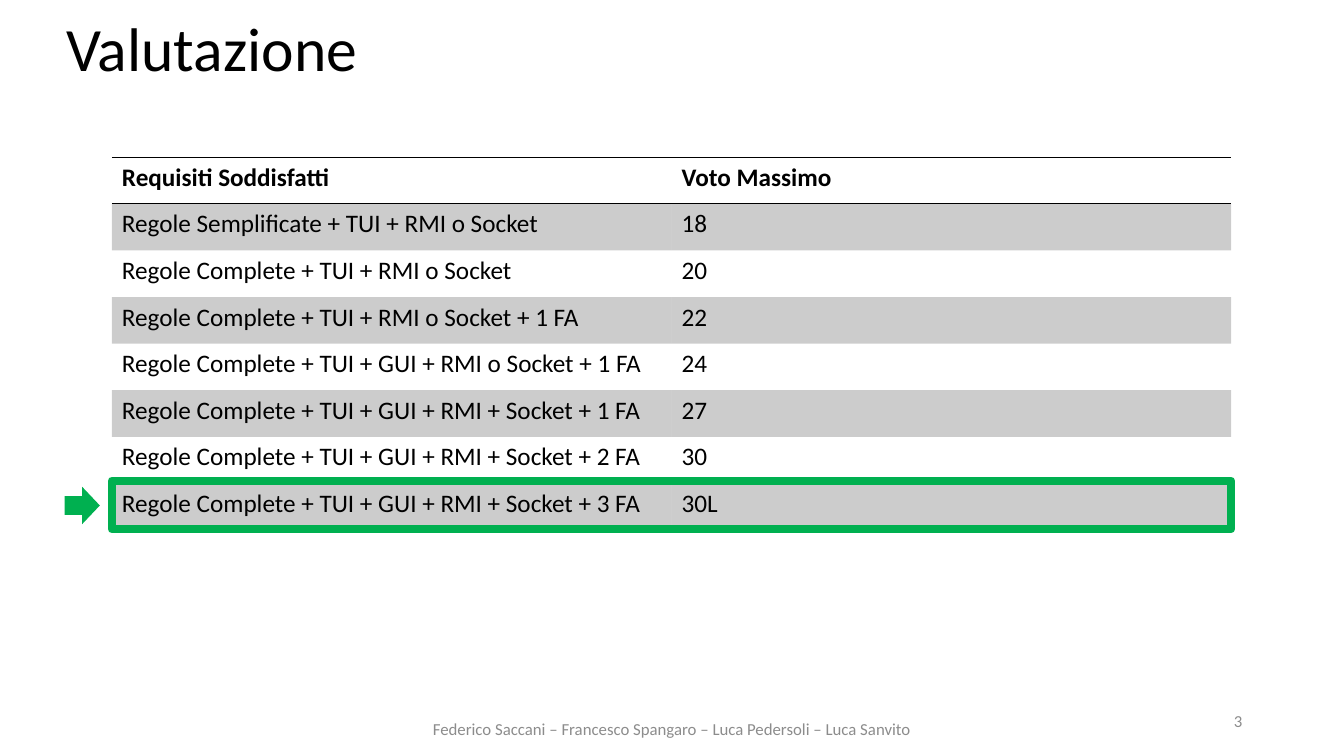
from lxml import etree
from pptx import Presentation
from pptx.dml.color import RGBColor
from pptx.enum import shapes, text
from pptx.oxml import ns
from pptx.util import Inches, Pt

BLACK, GREY, GREEN = "000000", "8C8C8C", "00B050"
LEFT, CENTER, RIGHT = text.PP_ALIGN.LEFT, text.PP_ALIGN.CENTER, text.PP_ALIGN.RIGHT


def color(value):
    return RGBColor.from_string(value)


def write(paragraph, words, **font_values):
    run = paragraph.add_run()
    run.text = words
    run.font.color.rgb = color(font_values.pop("color", BLACK))
    for name, value in {"name": "Calibri", **font_values}.items():
        setattr(run.font, name, value)


presentation = Presentation()
presentation.slide_width, presentation.slide_height = Inches(13.33), Inches(7.5)
slide = presentation.slides.add_slide(presentation.slide_layouts[6])

# Title, footer and slide number
authors = "Federico Saccani – Francesco Spangaro – Luca Pedersoli – Luca Sanvito"
for words, box, size, hue, align, spacing in [
    ("Valutazione", (0.56, 0.07, 12.36, 0.88), 44, BLACK, LEFT, 0.9),
    (authors, (2.95, 7.03, 7.43, 0.4), 12, GREY, CENTER, 1.0),
    ("3", (9.42, 6.95, 3, 0.4), 12, GREY, RIGHT, 1.0),
]:
    frame = slide.shapes.add_textbox(*map(Inches, box)).text_frame
    frame.word_wrap = True
    frame.vertical_anchor = text.MSO_ANCHOR.MIDDLE
    paragraph = frame.paragraphs[0]
    paragraph.alignment, paragraph.line_spacing = align, spacing
    write(paragraph, words, size=Pt(size), color=hue)

# Table of requirements and grades
grades = [
    ("Requisiti Soddisfatti", "Voto Massimo"),
    ("Regole Semplificate + TUI + RMI o Socket", "18"),
    ("Regole Complete + TUI + RMI o Socket", "20"),
    ("Regole Complete + TUI + RMI o Socket + 1 FA", "22"),
    ("Regole Complete + TUI + GUI + RMI o Socket + 1 FA", "24"),
    ("Regole Complete + TUI + GUI + RMI + Socket + 1 FA", "27"),
    ("Regole Complete + TUI + GUI + RMI + Socket + 2 FA", "30"),
    ("Regole Complete + TUI + GUI + RMI + Socket + 3 FA", "30L"),
]
last_row = len(grades) - 1
table_box = map(Inches, (1.11, 1.56, 11.1, 3.7))
table_frame = slide.shapes.add_table(len(grades), 2, *table_box)
table = table_frame.table
table.first_row = table.horz_banding = False
# Style "No Style, No Grid"
style = table_frame._element.find(".//" + ns.qn("a:tableStyleId"))
style.text = "{2D5ABB26-0587-4C30-8999-92F81FD0307C}"

for row, entries in enumerate(grades):
    for column, words in enumerate(entries):
        cell = table.cell(row, column)
        write(cell.text_frame.paragraphs[0], words, size=Pt(18), bold=row == 0)
        properties = cell._tc.get_or_add_tcPr()

        # Odd rows are shaded with transparent black
        if row % 2:
            cell.fill.solid()
            cell.fill.fore_color.rgb = color(BLACK)
            shade = properties.find(".//" + ns.qn("a:srgbClr"))
            etree.SubElement(shade, ns.qn("a:alpha"), val="20000")
        else:
            cell.fill.background()

        # Rules around the header and below the last row
        edges = {0: ["a:lnT", "a:lnB"], last_row: ["a:lnB"]}.get(row, [])
        for position, edge in enumerate(edges):
            line = etree.Element(ns.qn(edge), w=str(Pt(1)))
            fill = etree.SubElement(line, ns.qn("a:solidFill"))
            etree.SubElement(fill, ns.qn("a:srgbClr"), val=BLACK)
            properties.insert(position, line)

# Frame around the top grade
highlight = slide.shapes.add_shape(
    shapes.MSO_SHAPE.RECTANGLE, *map(Inches, (1.11, 4.77, 11.1, 0.48)))
highlight.shadow.inherit = False
highlight.fill.background()
highlight.line.color.rgb = color(GREEN)
highlight.line.width = Pt(6)

# Arrow pointing at the top grade
arrow = slide.shapes.add_shape(
    shapes.MSO_SHAPE.RIGHT_ARROW, *map(Inches, (0.64, 4.83, 0.35, 0.37)))
arrow.shadow.inherit = False
arrow.fill.solid()
arrow.fill.fore_color.rgb = color(GREEN)
arrow.line.fill.background()

presentation.save("out.pptx")
